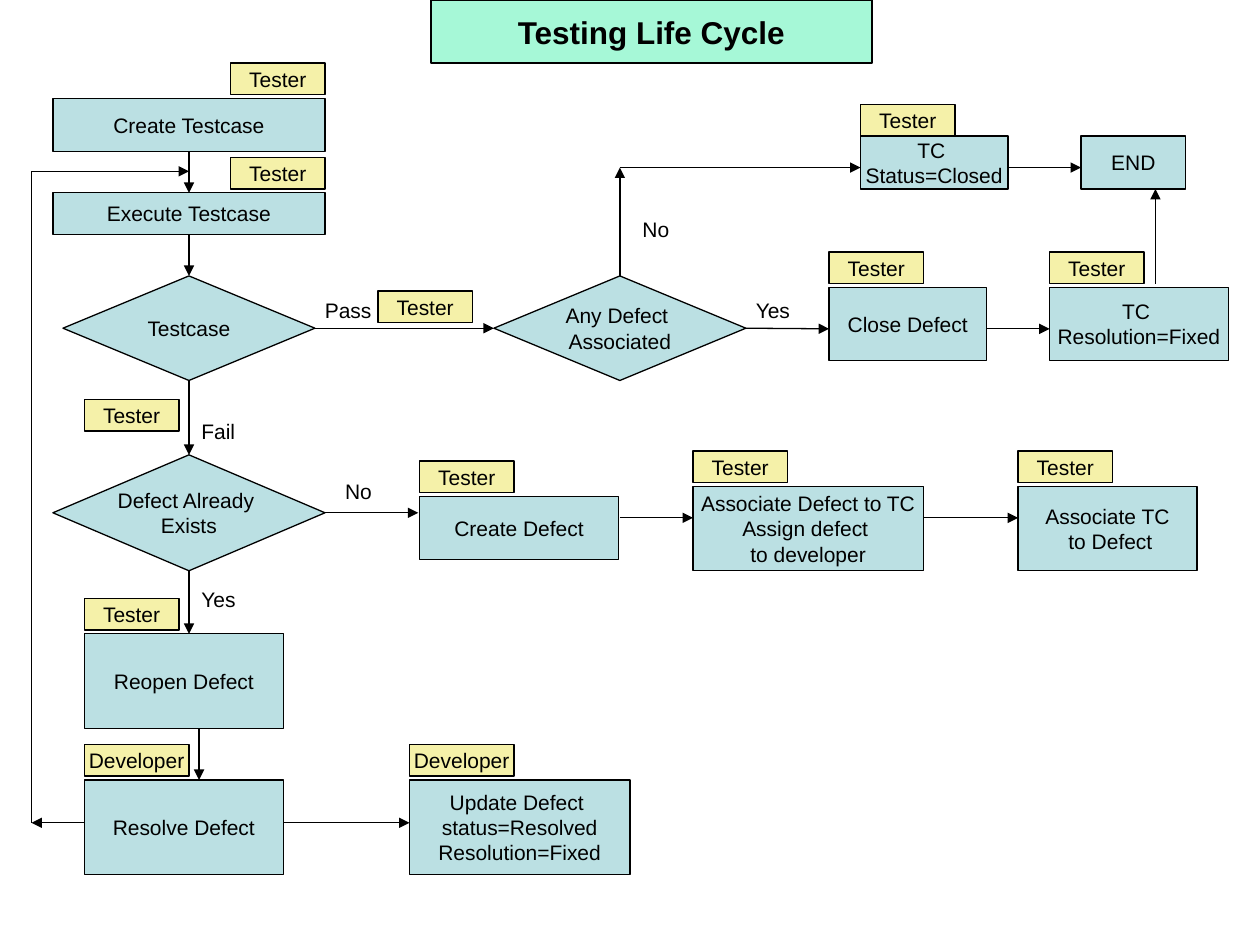
from typing import NamedTuple, Optional

import pptx
import pptx.dml.color
import pptx.enum.shapes
import pptx.enum.text
import pptx.oxml
import pptx.oxml.ns
import pptx.util

Inches = pptx.util.Inches
Pt = pptx.util.Pt
Preset = pptx.enum.shapes.MSO_SHAPE
Align = pptx.enum.text.PP_ALIGN

COLORS = {"ink": "000000", "step": "BBE0E3", "role": "F5F1A9", "title": "A6F8D7"}
FONT = "Arial"
TOP, LEFT, BOTTOM, RIGHT = range(4)
ROLE_WIDTHS = {"Tester": 0.75, "Developer": 0.83}
ROLE_HEIGHT = 0.25


class Step(NamedTuple):
    text: str
    left: float
    top: float
    width: float
    height: float
    role: str = ""
    role_shift: float = 0  # role tag's offset from the step's left edge
    role_rise: float = 0.28  # role tag's top above the step's top
    preset: int = Preset.RECTANGLE


class Flow(NamedTuple):
    start: tuple  # (x, y), or (step key, side) when joined
    end: tuple
    arrow: bool = True


class Label(NamedTuple):
    text: str
    left: float
    top: float
    width: float


DECISION = Preset.FLOWCHART_DECISION
STEPS = {
    "create case": Step("Create Testcase", 0.42, 0.78, 2.16, 0.42, "Tester", 1.41),
    "execute": Step("Execute Testcase", 0.42, 1.53, 2.16, 0.33, "Tester", 1.41),
    "testcase": Step("Testcase", 0.5, 2.19, 2, 0.83, preset=DECISION),
    "exists": Step("Defect Already \nExists", 0.42, 3.61, 2.16, 0.92, preset=DECISION),
    "create defect": Step("Create Defect", 3.33, 3.94, 1.58, 0.5, "Tester"),
    "reopen": Step("Reopen Defect", 0.67, 5.03, 1.58, 0.75, "Tester"),
    "resolve": Step("Resolve Defect", 0.67, 6.19, 1.58, 0.75, "Developer"),
    "associated": Step("Any Defect \nAssociated", 3.92, 2.19, 2, 0.83, preset=DECISION),
    "close": Step("Close Defect", 6.58, 2.28, 1.25, 0.58, "Tester"),
    "fixed": Step("TC \nResolution=Fixed", 8.33, 2.28, 1.42, 0.58, "Tester"),
    "closed": Step("TC \nStatus=Closed", 6.83, 1.08, 1.17, 0.42, "Tester", role_rise=0.25),
    "end": Step("END", 8.58, 1.08, 0.83, 0.42),
    "assign": Step("Associate Defect to TC\nAssign defect \nto developer",
                   5.5, 3.86, 1.83, 0.67, "Tester"),
    "associate": Step("Associate TC\n to Defect", 8.08, 3.86, 1.42, 0.67, "Tester"),
    "update": Step("Update Defect \nstatus=Resolved\nResolution=Fixed",
                   3.25, 6.19, 1.75, 0.75, "Developer"),
}

FLOWS = [
    # Main column
    Flow(("create case", BOTTOM), ("execute", TOP)),
    Flow(("execute", BOTTOM), ("testcase", TOP)),
    Flow(("testcase", BOTTOM), ("exists", TOP)),
    Flow(("exists", BOTTOM), (1.5, 5.03)),
    Flow((1.58, 5.78), (1.58, 6.19)),
    # Passed test cases
    Flow(("testcase", RIGHT), ("associated", LEFT)),
    Flow(("associated", RIGHT), (6.58, 2.61)),
    Flow((7.83, 2.61), (8.33, 2.61)),
    Flow((9.17, 2.25), (9.17, 1.5)),
    Flow(("associated", TOP), (4.92, 1.33)),
    Flow((4.92, 1.33), (6.83, 1.33)),
    Flow((8, 1.33), (8.58, 1.33)),
    # New defects
    Flow(("exists", RIGHT), (3.32, 4.07)),
    Flow((4.92, 4.11), (5.5, 4.11)),
    Flow((7.33, 4.11), (8.08, 4.11)),
    # Resolved defects and the loop back to execution
    Flow((2.25, 6.53), (3.25, 6.53)),
    Flow((0.67, 6.53), (0.25, 6.53)),
    Flow((0.25, 1.36), (0.25, 6.53), arrow=False),
    Flow((0.25, 1.36), (1.5, 1.36)),
]

LABELS = [
    Label("Pass", 2.48, 2.31, 0.57),
    Label("Fail", 1.5, 3.27, 0.47),
    Label("No", 2.64, 3.75, 0.41),
    Label("Yes", 1.5, 4.61, 0.48),
    Label("Yes", 5.9, 2.31, 0.48),
    Label("No", 5, 1.67, 0.41),
]
BRANCH_ROLES = [(3, 2.31), (0.67, 3.17)]


def color(name: str):
    return pptx.dml.color.RGBColor.from_string(COLORS[name])


def write(shape, text: str, size: float = 12, bold: bool = False,
          align: int = Align.CENTER) -> None:
    frame = shape.text_frame
    frame.text = text
    frame.word_wrap = False
    for paragraph in frame.paragraphs:
        paragraph.alignment = align
        paragraph.font.name = FONT
        paragraph.font.size = Pt(size)
        paragraph.font.bold = bold
        paragraph.font.color.rgb = color("ink")


def paint(shape, fill: str) -> None:
    shape.fill.solid()
    shape.fill.fore_color.rgb = color(fill)
    shape.line.color.rgb = color("ink")
    shape.line.width = Pt(0.75)
    shape.text_frame.vertical_anchor = pptx.enum.text.MSO_ANCHOR.MIDDLE


def add_box(slide, text: str, left: float, top: float, width: float, height: float,
            fill: str, preset: int = Preset.RECTANGLE):
    box = slide.shapes.add_shape(preset, Inches(left), Inches(top),
                                 Inches(width), Inches(height))
    box.shadow.inherit = False
    paint(box, fill)
    write(box, text)
    return box


def add_role(slide, role: str, left: float, top: float) -> None:
    add_box(slide, role, left, top, ROLE_WIDTHS[role], ROLE_HEIGHT, "role")


def add_step(slide, step: Step):
    if step.role:
        add_role(slide, step.role, step.left + step.role_shift, step.top - step.role_rise)
    return add_box(slide, step.text, step.left, step.top, step.width, step.height,
                   "step", step.preset)


def locate(end: tuple) -> tuple:
    """Return the point of a flow's end, whether free or joined to a step."""
    if end[0] not in STEPS:
        return end
    step, side = STEPS[end[0]], end[1]
    across, down = {TOP: (0.5, 0), LEFT: (0, 0.5), BOTTOM: (0.5, 1), RIGHT: (1, 0.5)}[side]
    return step.left + across * step.width, step.top + down * step.height


def add_flow(slide, flow: Flow, boxes: dict) -> None:
    points = [Inches(value) for end in (flow.start, flow.end) for value in locate(end)]
    line = slide.shapes.add_connector(pptx.enum.shapes.MSO_CONNECTOR.STRAIGHT, *points)
    for end, connect in ((flow.start, line.begin_connect), (flow.end, line.end_connect)):
        if end[0] in boxes:
            connect(boxes[end[0]], end[1])
    line.line.color.rgb = color("ink")
    line.line.width = Pt(0.75)
    if flow.arrow:
        head = pptx.oxml.parse_xml(
            f'<a:tailEnd {pptx.oxml.ns.nsdecls("a")} type="triangle"/>')
        line.line._get_or_add_ln().append(head)
    line._element.spPr.append(
        pptx.oxml.parse_xml(f'<a:effectLst {pptx.oxml.ns.nsdecls("a")}/>'))


def add_label(slide, label: Label) -> None:
    box = slide.shapes.add_textbox(Inches(label.left), Inches(label.top),
                                   Inches(label.width), Inches(0.3))
    write(box, label.text, align=Align.LEFT)
    box.text_frame.auto_size = pptx.enum.text.MSO_AUTO_SIZE.SHAPE_TO_FIT_TEXT


def add_title(slide, text: str) -> None:
    title = slide.shapes.title
    title.left, title.top = Inches(3.42), Inches(0)
    title.width, title.height = Inches(3.5), Inches(0.5)
    paint(title, "title")
    write(title, text, size=18, bold=True)
    title.text_frame.auto_size = pptx.enum.text.MSO_AUTO_SIZE.NONE


def main() -> None:
    deck = pptx.Presentation()
    deck.slide_width, deck.slide_height = Inches(10), Inches(7.5)
    slide = deck.slides.add_slide(deck.slide_layouts[5])

    add_title(slide, "Testing Life Cycle")
    boxes = {key: add_step(slide, step) for key, step in STEPS.items()}
    for left, top in BRANCH_ROLES:
        add_role(slide, "Tester", left, top)
    for flow in FLOWS:
        add_flow(slide, flow, boxes)
    for label in LABELS:
        add_label(slide, label)
    deck.save("out.pptx")


if __name__ == "__main__":
    main()
